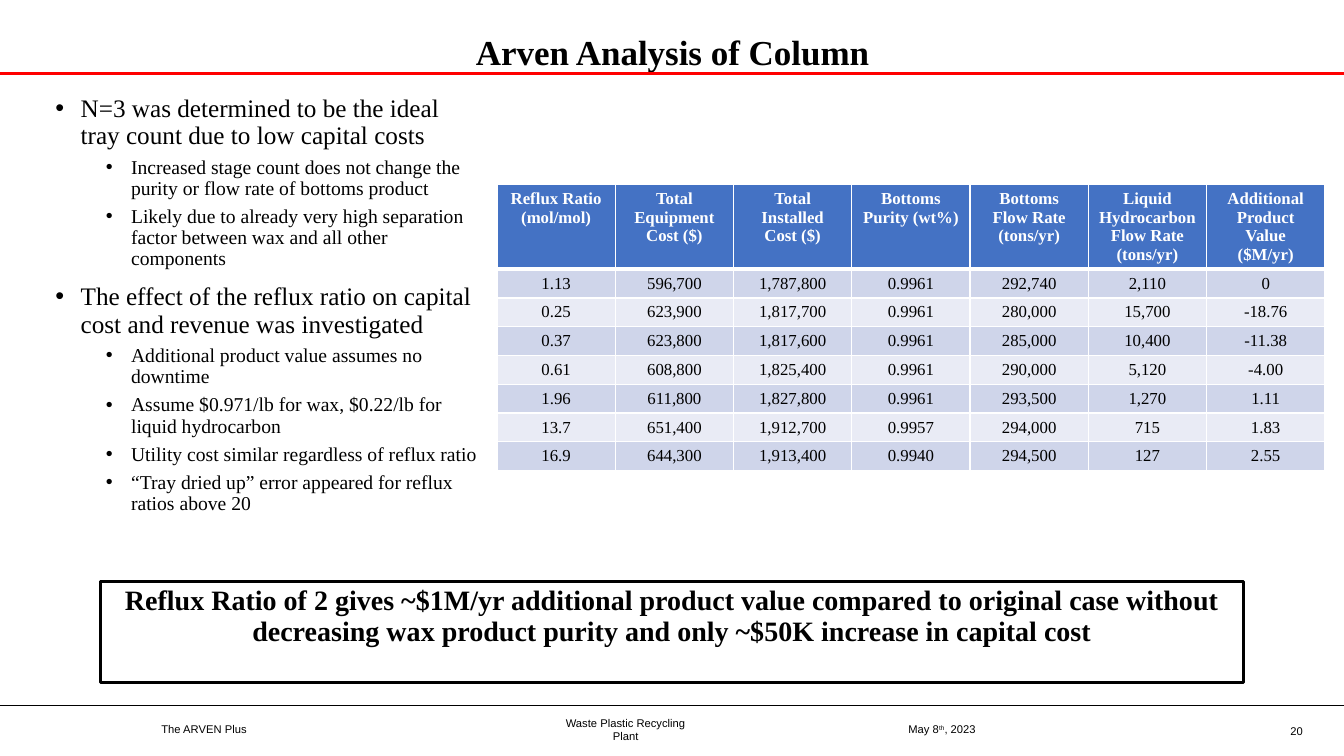
"""Build the column analysis slide with its reflux ratio table."""
from lxml.etree import SubElement
from pptx import Presentation
from pptx.dml.color import RGBColor
from pptx.enum.shapes import MSO_CONNECTOR
from pptx.enum.text import MSO_ANCHOR, MSO_AUTO_SIZE, PP_ALIGN
from pptx.oxml import parse_xml
from pptx.oxml.ns import nsdecls, qn
from pptx.util import Inches, Pt

SERIF, SANS = "Times New Roman", "Arial"
BLACK, WHITE, RED, BLUE = "000000", "FFFFFF", "FF0000", "4472C4"
BANDS = ("CFD5EA", "E9EBF5")
TITLE = "Arven Analysis of Column"
BULLETS = [
    (0, "N=3 was determined to be the ideal tray count due to low capital costs"),
    (1, "Increased stage count does not change the purity or flow rate of bottoms product"),
    (1, "Likely due to already very high separation factor between wax and all other components"),
    (0, "The effect of the reflux ratio on capital cost and revenue was investigated"),
    (1, "Additional product value assumes no downtime"),
    (1, "Assume $0.971/lb for wax, $0.22/lb for liquid hydrocarbon"),
    (1, "Utility cost similar regardless of reflux ratio"),
    (1, "“Tray dried up” error appeared for reflux ratios above 20"),
]
LEVELS = [(18, 10, 0.25), (14, 5, 0.75)]
CALLOUT = ("Reflux Ratio of 2 gives ~$1M/yr additional product value compared to original case "
           "without decreasing wax product purity and only ~$50K increase in capital cost")
TABLE = [
    ("Reflux Ratio (mol/mol)", "Total Equipment Cost ($)", "Total Installed Cost ($)",
     "Bottoms Purity (wt%)", "Bottoms Flow Rate (tons/yr)",
     "Liquid Hydrocarbon Flow Rate (tons/yr)", "Additional Product Value ($M/yr)"),
    ("1.13", "596,700", "1,787,800", "0.9961", "292,740", "2,110", "0"),
    ("0.25", "623,900", "1,817,700", "0.9961", "280,000", "15,700", "-18.76"),
    ("0.37", "623,800", "1,817,600", "0.9961", "285,000", "10,400", "-11.38"),
    ("0.61", "608,800", "1,825,400", "0.9961", "290,000", "5,120", "-4.00"),
    ("1.96", "611,800", "1,827,800", "0.9961", "293,500", "1,270", "1.11"),
    ("13.7", "651,400", "1,912,700", "0.9957", "294,000", "715", "1.83"),
    ("16.9", "644,300", "1,913,400", "0.9940", "294,500", "127", "2.55"),
]
RULES = [(7, BLACK, 1), (0.73, RED, 2)]
FOOTERS = [
    ((1.6, 7.03, 1.05, 0.41), PP_ALIGN.LEFT, 0, [("The ARVEN Plus", 0)]),
    ((5.5, 7.03, 1.41, 0.41), PP_ALIGN.CENTER, 0, [("Waste Plastic Recycling Plant", 0)]),
    ((9.01, 7.03, 0.96, 0.41), PP_ALIGN.LEFT, 0, [("May 8", 0), ("th", 30000), (", 2023", 0)]),
    ((12.31, 7.05, 0.71, 0.4), PP_ALIGN.RIGHT, 0.1, [("20", 0)]),
]


def rgb(color):
    return RGBColor.from_string(color)


def add_run(p, text, size, font=SERIF, color=BLACK, bold=False):
    r = p.add_run()
    r.text = text
    r.font.size, r.font.name, r.font.bold = Pt(size), font, bold
    r.font.color.rgb = rgb(color)
    return r


def place(sp, left, top, width, height):
    sp.left, sp.top, sp.width, sp.height = map(Inches, (left, top, width, height))
    tf = sp.text_frame
    tf.word_wrap, tf.auto_size = True, MSO_AUTO_SIZE.NONE
    return tf


def set_bullet(p, indent, char=None):
    pPr = p._p.get_or_add_pPr()
    pPr.set("marL", str(Inches(indent)))
    pPr.set("indent", str(Inches(-0.25 if char else 0)))
    if char:
        SubElement(pPr, qn("a:buFont")).set("typeface", SANS)
        SubElement(pPr, qn("a:buChar")).set("char", char)
    else:
        SubElement(pPr, qn("a:buNone"))


def set_borders(cell, top, bottom):
    tcPr = cell._tc.get_or_add_tcPr()
    for i, (side, width) in enumerate((("L", 1), ("R", 1), ("T", top), ("B", bottom))):
        tcPr.insert(i, parse_xml(
            f'<a:ln{side} {nsdecls("a")} w="{Pt(width)}"><a:solidFill>'
            f'<a:srgbClr val="{WHITE}"/></a:solidFill></a:ln{side}>'))


def add_rules(slide):
    for y, color, width in RULES:
        line = slide.shapes.add_connector(
            MSO_CONNECTOR.STRAIGHT, 0, Inches(y), Inches(13.33), Inches(y))
        line.line.color.rgb, line.line.width = rgb(color), Pt(width)
        SubElement(line._element.spPr, qn("a:effectLst"))


def add_bullets(sp):
    tf = place(sp, 0.45, 0.9, 4.43, 6)
    for i, (level, text) in enumerate(BULLETS):
        size, before, indent = LEVELS[level]
        p = tf.add_paragraph() if i else tf.paragraphs[0]
        p.level, p.line_spacing = level, 0.9
        p.space_before = Pt(before if i else 0)
        set_bullet(p, indent, "•")
        add_run(p, text, size)


def add_results(slide):
    table = slide.shapes.add_table(len(TABLE), len(TABLE[0]), Inches(4.93), Inches(1.83),
                                   Inches(8.21), Inches(2.8)).table
    for i, values in enumerate(TABLE):
        header = i == 0
        table.rows[i].height = Inches(0.84 if header else 0.28)
        for j, value in enumerate(values):
            cell = table.cell(i, j)
            cell.fill.solid()
            cell.fill.fore_color.rgb = rgb(BLUE if header else BANDS[(i - 1) % 2])
            set_borders(cell, 3 if i == 1 else 1, 3 if header else 1)
            p = cell.text_frame.paragraphs[0]
            p.alignment = PP_ALIGN.CENTER
            add_run(p, value, 12, color=WHITE if header else BLACK, bold=header)


def add_callout(sp):
    p = place(sp, 1, 5.77, 11.33, 1).paragraphs[0]
    sp.line.color.rgb, sp.line.width = rgb(BLACK), Pt(2)
    p.alignment, p.line_spacing, p.space_before = PP_ALIGN.CENTER, 0.9, Pt(0)
    set_bullet(p, 0)
    add_run(p, CALLOUT, 20, bold=True)


def add_footers(slide):
    for box, align, inset, runs in FOOTERS:
        tf = place(slide.shapes.add_textbox(0, 0, 0, 0), *box)
        tf.vertical_anchor = MSO_ANCHOR.MIDDLE
        tf.margin_left = tf.margin_right = Inches(inset)
        tf.margin_top = tf.margin_bottom = Inches(inset / 2)
        p = tf.paragraphs[0]
        p.alignment = align
        for text, baseline in runs:
            r = add_run(p, text, 8, SANS)
            if baseline:
                r._r.get_or_add_rPr().set("baseline", str(baseline))


def main():
    prs = Presentation()
    prs.slide_width, prs.slide_height = Inches(13.33), Inches(7.5)
    slide = prs.slides.add_slide(prs.slide_layouts[3])
    title, body, callout = slide.placeholders
    add_rules(slide)
    tf = place(title, 0.92, 0.34, 11.5, 0.4)
    tf.vertical_anchor = MSO_ANCHOR.MIDDLE
    p = tf.paragraphs[0]
    p.alignment, p.line_spacing = PP_ALIGN.CENTER, 0.9
    add_run(p, TITLE, 25, bold=True)
    add_bullets(body)
    add_results(slide)
    add_callout(callout)
    add_footers(slide)
    prs.save("out.pptx")


if __name__ == "__main__":
    main()
